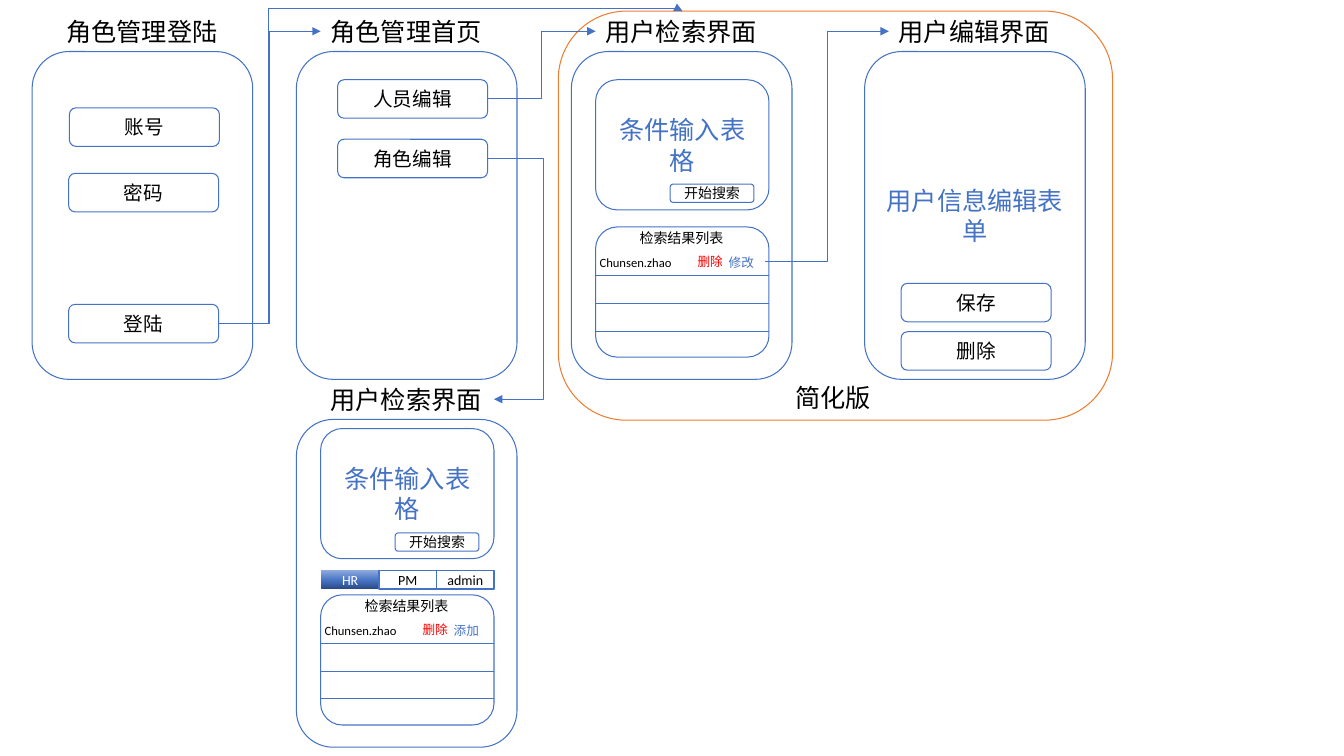
from copy import deepcopy
from dataclasses import dataclass

from lxml import etree
from pptx import Presentation
from pptx.dml.color import RGBColor
from pptx.enum.shapes import MSO_CONNECTOR, MSO_SHAPE
from pptx.enum.text import MSO_ANCHOR, MSO_AUTO_SIZE, PP_ALIGN
from pptx.oxml.ns import qn
from pptx.util import Cm, Pt

ROUNDED, RECTANGLE = MSO_SHAPE.ROUNDED_RECTANGLE, MSO_SHAPE.RECTANGLE
STRAIGHT, ELBOW = MSO_CONNECTOR.STRAIGHT, MSO_CONNECTOR.ELBOW
LEFT, CENTER, RIGHT = PP_ALIGN.LEFT, PP_ALIGN.CENTER, PP_ALIGN.RIGHT
MIDDLE = MSO_ANCHOR.MIDDLE
FIT_TEXT = MSO_AUTO_SIZE.SHAPE_TO_FIT_TEXT

FONT = "Calibri"
COLORS = {"blue": "4472C4", "orange": "ED7D31", "black": "000000", "red": "FF0000", "white": "FFFFFF"}
TAB_GRADIENT = [(0, "2A4B86"), (0.48, "4A76C6"), (1, "8FAADC")]

SCREEN_WIDTH, SCREEN_HEIGHT = 5.56, 8.26
PANEL_WIDTH, PANEL_HEIGHT, PANEL_INSET = 4.37, 3.28, 0.61
BUTTON_WIDTH, BUTTON_HEIGHT = 3.78, 0.97
TITLE_HEIGHT = 1.02
TAB_WIDTH = 1.45


@dataclass
class Screen:
    title: str
    left: float
    top: float
    body: str = ""


@dataclass
class Button:
    text: str
    left: float
    top: float


@dataclass
class Search:
    left: float
    panel_top: float
    list_top: float
    action: str


@dataclass
class Arrow:
    start: tuple[float, float]
    end: tuple[float, float]
    preset: str = "bentConnector3"
    adjustments: tuple[int, ...] = ()


SCREENS = [
    Screen("角色管理登陆", 0.81, 1.3),
    Screen("角色管理首页", 7.47, 1.3),
    Screen("用户检索界面", 14.4, 1.3),
    Screen("用户编辑界面", 21.79, 1.3, "用户信息编辑表单"),
    Screen("用户检索界面", 7.47, 10.57),
]
BUTTONS = [
    Button("账号", 1.75, 2.72),
    Button("密码", 1.73, 4.37),
    Button("登陆", 1.73, 7.67),
    Button("人员编辑", 8.51, 2.01),
    Button("角色编辑", 8.51, 3.51),
    Button("保存", 22.71, 7.14),
    Button("删除", 22.71, 8.36),
]
SEARCHES = [Search(15.01, 2.01, 5.72, "修改"), Search(8.08, 10.8, 14.99, "添加")]
ARROWS = [
    Arrow((19.28, 6.58), (22.4, 0.79)),
    Arrow((12.29, 2.49), (15.01, 0.79)),
    Arrow((12.29, 3.99), (12.45, 10.06), adjustments=(875000,)),
    Arrow((5.51, 8.15), (8.08, 0.79)),
    Arrow((5.51, 8.15), (17.2, 0.28), "bentConnector4", (10800, 100900)),
]

presentation = Presentation()
presentation.slide_width, presentation.slide_height = Cm(33.87), Cm(19.05)
slide = presentation.slides.add_slide(presentation.slide_layouts[6])


def rgb(name: str) -> RGBColor:
    return RGBColor.from_string(COLORS[name])


def write(shape, text: str, size: float, color: str, align) -> None:
    paragraph = shape.text_frame.paragraphs[0]
    paragraph.alignment = align
    run = paragraph.add_run()
    run.text = text
    run.font.name, run.font.size = FONT, Pt(size)
    run.font.color.rgb = rgb(color)


def add_box(left: float, top: float, width: float, height: float, text: str = "", size: float = 14,
            color: str = "black", line: str = "blue", preset=ROUNDED):
    shape = slide.shapes.add_shape(preset, Cm(left), Cm(top), Cm(width), Cm(height))
    shape.shadow.inherit = False
    shape.fill.background()
    shape.line.color.rgb = rgb(line)
    shape.line.width = Pt(0.75)
    if text:
        shape.text_frame.word_wrap = True
        shape.text_frame.vertical_anchor = MIDDLE
        write(shape, text, size, color, CENTER)
    return shape


def add_label(left: float, top: float, width: float, height: float, text: str, size: float,
              color: str = "black", align=LEFT, wrap: bool = False) -> None:
    label = slide.shapes.add_textbox(Cm(left), Cm(top), Cm(width), Cm(height))
    label.text_frame.word_wrap = wrap
    label.text_frame.auto_size = FIT_TEXT
    write(label, text, size, color, align)


def add_line(start: tuple[float, float], end: tuple[float, float], kind=STRAIGHT):
    connector = slide.shapes.add_connector(kind, *map(Cm, (*start, *end)))
    connector.line.color.rgb = rgb("blue")
    connector.line.width = Pt(0.5)
    etree.SubElement(connector._element.spPr, qn("a:effectLst"))
    return connector


def add_arrow(arrow: Arrow) -> None:
    connector = add_line(arrow.start, arrow.end, ELBOW)
    properties = connector._element.spPr
    etree.SubElement(properties.find(qn("a:ln")), qn("a:tailEnd"), type="triangle")
    geometry = properties.find(qn("a:prstGeom"))
    geometry.set("prst", arrow.preset)
    guides = geometry.find(qn("a:avLst"))
    if guides is None:
        guides = etree.SubElement(geometry, qn("a:avLst"))
    for number, value in enumerate(arrow.adjustments, 1):
        etree.SubElement(guides, qn("a:gd"), name=f"adj{number}", fmla=f"val {value}")


def add_screen(screen: Screen) -> None:
    add_box(screen.left, screen.top, SCREEN_WIDTH, SCREEN_HEIGHT, screen.body, 18, "blue")
    add_label(screen.left + PANEL_INSET, screen.top - TITLE_HEIGHT, PANEL_WIDTH, TITLE_HEIGHT, screen.title, 18)


def add_search(search: Search) -> None:
    left, top = search.left, search.list_top
    add_box(left + 1.88, search.panel_top + 2.63, 2.11, 0.46, "开始搜索", 10)
    add_box(left, search.panel_top, PANEL_WIDTH, PANEL_HEIGHT, "条件输入表格", 18, "blue")
    add_box(left, top, PANEL_WIDTH, PANEL_HEIGHT)
    add_label(left + 0.86, top - 0.05, 2.64, 0.69, "检索结果列表", 10)
    for row in range(3):
        y = top + 1.22 + 0.7 * row
        add_line((left, y), (left + PANEL_WIDTH, y))
    add_label(left - 0.15, top + 0.58, 2.34, 0.64, "Chunsen.zhao", 9)
    add_label(left + 2.32, top + 0.56, 1.3, 0.64, "删除", 9, "red", wrap=True)
    add_label(left + 3.1, top + 0.58, 1.14, 0.64, search.action, 9, "blue", RIGHT)


def add_tabs(left: float, top: float) -> None:
    for index, name in enumerate(["HR", "PM", "admin"]):
        selected = index == 0
        tab = add_box(left + index * TAB_WIDTH, top, TAB_WIDTH, 0.47, name, 10,
                      "white" if selected else "black", preset=RECTANGLE)
        if selected:
            tab.line.fill.background()
            tab.fill.gradient()
            tab.fill.gradient_angle = 90
            stop_list = tab._element.spPr.find(".//" + qn("a:gsLst"))
            stop_list.insert(1, deepcopy(stop_list[0]))
            for stop, (position, color) in zip(tab.fill.gradient_stops, TAB_GRADIENT):
                stop.position = position
                stop.color.rgb = RGBColor.from_string(color)
        else:
            tab.line.width = Pt(1)
            tab.fill.solid()
            tab.fill.fore_color.rgb = rgb("white")


for screen in SCREENS:
    add_screen(screen)
for button in BUTTONS:
    add_box(button.left, button.top, BUTTON_WIDTH, BUTTON_HEIGHT, button.text)
for search in SEARCHES:
    add_search(search)
add_tabs(8.1, 14.37)
add_box(14.07, 0.28, 13.97, 10.31, line="orange")
add_label(19.79, 9.5, 2.44, TITLE_HEIGHT, "简化版", 18)
for arrow in ARROWS:
    add_arrow(arrow)

presentation.save("out.pptx")
